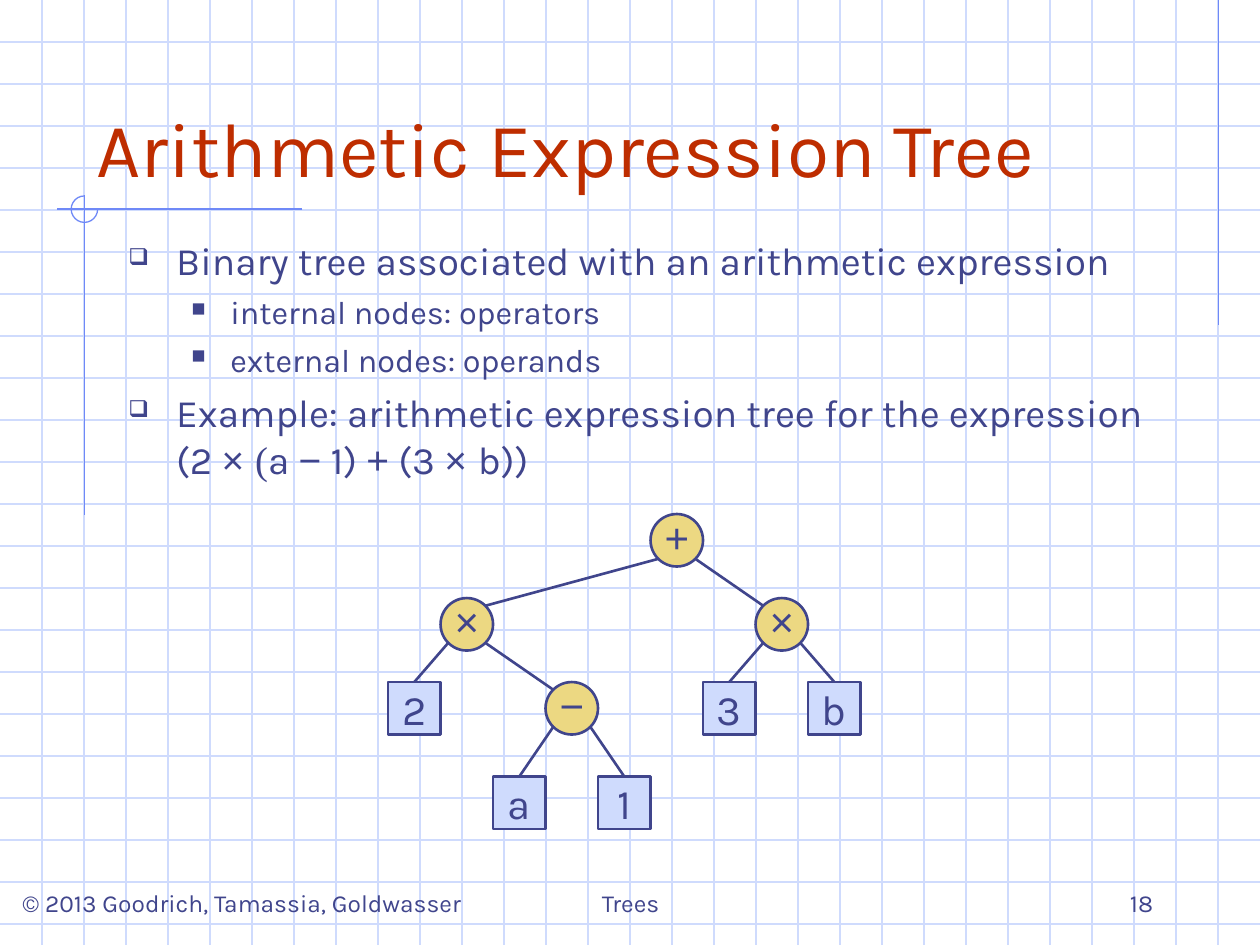
from lxml import etree
from pptx import Presentation
from pptx.dml.color import RGBColor
from pptx.enum.shapes import MSO_CONNECTOR, MSO_SHAPE
from pptx.enum.text import MSO_ANCHOR, PP_ALIGN
from pptx.oxml.ns import qn
from pptx.util import Inches, Pt

STRAIGHT = MSO_CONNECTOR.STRAIGHT
ARC, OVAL, RECT = MSO_SHAPE.ARC, MSO_SHAPE.OVAL, MSO_SHAPE.RECTANGLE
TOP, MIDDLE, BOTTOM = MSO_ANCHOR.TOP, MSO_ANCHOR.MIDDLE, MSO_ANCHOR.BOTTOM
LEFT, CENTER, RIGHT = PP_ALIGN.LEFT, PP_ALIGN.CENTER, PP_ALIGN.RIGHT

COLORS = {"ink": "40458C", "title": "BE2D00", "grid": "CFDBFD",
          "accent": "6F89F7", "operator": "ECD882", "operand": "CFDBFD"}
MAIN_FONT, SYMBOL_FONT, SERIF_FONT = "Karla", "Arial", "Times New Roman"
WIDTH, HEIGHT = 10, 7.5
TREE_UNIT = 1 / 12  # the tree is laid out on a grid of twelfths of an inch
NODE_SIZE = 5 * TREE_UNIT

# level: bullet, left margin, hanging indent, space before, size
LEVELS = [("❑", 0.38, 0.38, 6, 22.2), ("■", 0.81, 0.31, 5, 18.5)]
BULLETS = [
    (0, [("Binary tree associated with an arithmetic expression", MAIN_FONT)]),
    (1, [("internal nodes: operators", MAIN_FONT)]),
    (1, [("external nodes: operands", MAIN_FONT)]),
    (0, [("Example: arithmetic expression tree for the expression (2 ", MAIN_FONT),
         ("× ", SYMBOL_FONT), ("(", SERIF_FONT), ("a ", MAIN_FONT),
         ("−", SYMBOL_FONT), (" 1) ", MAIN_FONT), ("+", SYMBOL_FONT),
         (" (3 ", MAIN_FONT), ("× ", SYMBOL_FONT), ("b))", MAIN_FONT)]),
]

# node: label, column and row in tree units, parent
NODES = {
    "sum": ("+", 25, 0, None),
    "right product": ("×", 35, 8, "sum"),
    "left product": ("×", 5, 8, "sum"),
    "difference": ("−", 15, 16, "left product"),
    "two": ("2", 0, 16, "left product"),
    "a": ("a", 10, 25, "difference"),
    "one": ("1", 20, 25, "difference"),
    "three": ("3", 30, 16, "right product"),
    "b": ("b", 40, 16, "right product"),
}
OPERATORS = "+×−"


def rgb(name):
    return RGBColor.from_string(COLORS[name])


def style_font(font, size, color="ink", name=MAIN_FONT):
    font.size, font.name = Pt(size), name
    font.color.rgb = rgb(color)


def add_line(page, start, end, color, width=0.75):
    line = page.shapes.add_connector(
        STRAIGHT, *(Inches(value) for value in (*start, *end)))
    line.line.color.rgb = rgb(color)
    line.line.width = Pt(width)
    etree.SubElement(line._element.spPr, qn("a:effectLst"))
    return line


def add_frame(page, box, anchor):
    frame = page.shapes.add_textbox(*(Inches(value) for value in box)).text_frame
    frame.word_wrap = True
    frame.vertical_anchor = anchor
    return frame


def add_label(page, box, text, size, align=LEFT, color="ink"):
    para = add_frame(page, box, BOTTOM).paragraphs[0]
    para.text, para.alignment = text, align
    style_font(para.font, size, color)


def add_background(page, width, height):
    # Squared paper, three squares to the inch
    for step in range(1, int(height * 3) + 1):
        if step / 3 < height:
            add_line(page, (0, step / 3), (width, step / 3), "grid")
    for step in range(1, width * 3):
        add_line(page, (step / 3, 0), (step / 3, height), "grid")


def add_ornament(page, x, y):
    # Margin lines meeting at a three-quarter circle
    add_line(page, (x + 9, 0), (x + 9, 2.58), "accent")
    add_line(page, (x + 1.73, y), (x - 0.22, y), "accent")
    add_line(page, (x, y - 0.11), (x, y + 2.43), "accent")
    radius = 0.105
    arc = page.shapes.add_shape(ARC, Inches(x - radius), Inches(y - radius),
                                Inches(2 * radius), Inches(2 * radius))
    arc.adjustments[0], arc.adjustments[1] = 0, 162  # 0 to 270 degrees
    arc.shadow.inherit = False
    arc.fill.background()
    arc.line.color.rgb = rgb("accent")
    arc.line.width = Pt(0.75)


def set_bullet(para, mark, margin, hang):
    props = para._p.get_or_add_pPr()
    props.set("marL", str(Inches(margin)))
    props.set("indent", str(-Inches(hang)))
    color = etree.SubElement(props, qn("a:buClr"))
    etree.SubElement(color, qn("a:srgbClr"), val=COLORS["ink"])
    etree.SubElement(props, qn("a:buSzPct"), val="60000")
    etree.SubElement(props, qn("a:buChar"), char=mark)


def add_body(page, box):
    frame = add_frame(page, box, TOP)
    for index, (level, spans) in enumerate(BULLETS):
        para = frame.add_paragraph() if index else frame.paragraphs[0]
        mark, margin, hang, space, size = LEVELS[level]
        para.level = level
        para.space_before = Pt(space)
        set_bullet(para, mark, margin, hang)
        style_font(para.font, size)
        for text, font_name in spans:
            span = para.add_run()
            span.text = text
            span.font.name = font_name


def add_node(page, x, y, label):
    is_operator = label in OPERATORS
    node = page.shapes.add_shape(OVAL if is_operator else RECT, Inches(x), Inches(y),
                                 Inches(NODE_SIZE), Inches(NODE_SIZE))
    node.shadow.inherit = False
    node.fill.solid()
    node.fill.fore_color.rgb = rgb("operator" if is_operator else "operand")
    node.line.color.rgb = rgb("ink")
    node.line.width = Pt(1.5)
    frame = node.text_frame
    frame.word_wrap = False
    frame.vertical_anchor = MIDDLE
    if is_operator:
        frame.margin_left = frame.margin_right = frame.margin_top = 0
    para = frame.paragraphs[0]
    para.text, para.alignment = label, CENTER
    style_font(para.font, 24, name=SYMBOL_FONT if is_operator else MAIN_FONT)
    return node


def add_tree(page, left, top):
    shapes, centers = {}, {}
    for key, (label, column, row, _) in NODES.items():
        x, y = left + column * TREE_UNIT, top + row * TREE_UNIT
        shapes[key] = add_node(page, x, y, label)
        centers[key] = (x + NODE_SIZE / 2, y + NODE_SIZE / 2)

    # Edges leave and meet circles at 45 degrees, and meet squares at the top
    diagonal = NODE_SIZE / 2 * 0.5 ** 0.5
    for key, (label, _, _, parent) in NODES.items():
        if parent is None:
            continue
        (x, y), (parent_x, parent_y) = centers[key], centers[parent]
        side = diagonal if x > parent_x else -diagonal
        start = (parent_x + side, parent_y + diagonal)
        if label in OPERATORS:
            add_line(page, start, (x - side, y - diagonal), "ink", 1.5)
        else:
            edge = add_line(page, start, (x, y - NODE_SIZE / 2), "ink", 1.5)
            edge.end_connect(shapes[key], 0)


def add_footer(page, top, height):
    add_label(page, (0.08, top, 3.92, height),
              "© 2013 Goodrich, Tamassia, Goldwasser", 14)
    add_label(page, (3.42, top, 3.17, height), "Trees", 14, CENTER)
    add_label(page, (7.17, top, 2.08, height), "18", 14, RIGHT)


def main():
    deck = Presentation()
    deck.slide_width, deck.slide_height = Inches(WIDTH), Inches(HEIGHT)
    page = deck.slides.add_slide(deck.slide_layouts[6])
    add_background(page, WIDTH, HEIGHT)
    add_ornament(page, 0.67, 1.66)
    add_label(page, (0.67, 0.33, 8.5, 1.25), "Arithmetic Expression Tree", 44,
              color="title")
    add_body(page, (0.92, 1.83, 8.5, 2.17))
    add_tree(page, 3.08, 4.08)
    add_footer(page, 6.83, 0.5)
    deck.save("out.pptx")


if __name__ == "__main__":
    main()
